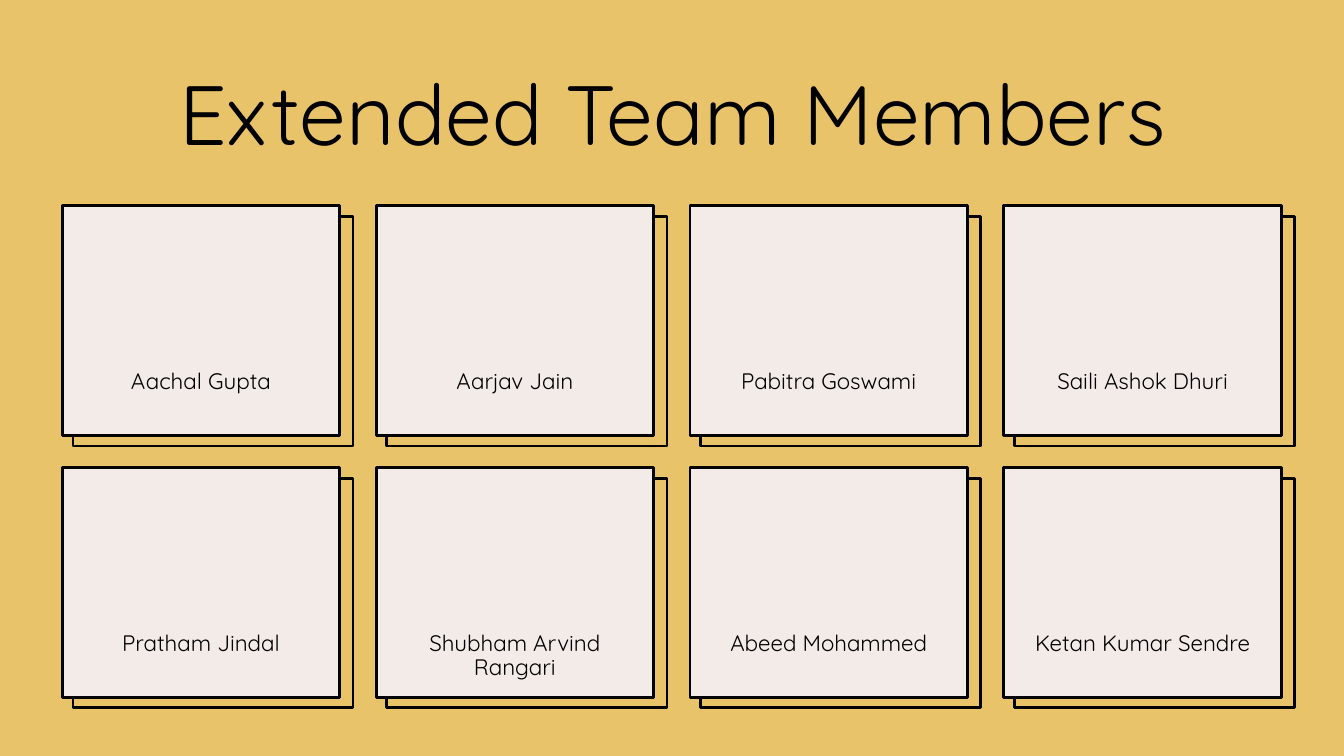
"""Build the slide that lists the extended team members on offset cards."""
from dataclasses import dataclass

from pptx import Presentation
from pptx.dml.color import RGBColor
from pptx.enum.shapes import MSO_SHAPE as Preset
from pptx.enum.text import MSO_ANCHOR as Anchor, PP_ALIGN as Align
from pptx.util import Cm, Pt

TITLE = "Extended Team Members"
MEMBERS = [
    ["Aachal Gupta", "Aarjav Jain", "Pabitra Goswami", "Saili Ashok Dhuri"],
    ["Pratham Jindal", "Shubham Arvind Rangari", "Abeed Mohammed", "Ketan Kumar Sendre"],
]


@dataclass(frozen=True)
class Theme:
    background: RGBColor = RGBColor.from_string("E9C369")
    card: RGBColor = RGBColor.from_string("F3EBE8")
    ink: RGBColor = RGBColor.from_string("000000")
    font: str = "Quicksand"
    title_size: Pt = Pt(60)
    name_size: Pt = Pt(16)
    outline: Pt = Pt(2)


THEME = Theme()
SLIDE_SIZE = (33.87, 19.05)
TITLE_BOX = (3.18, 1.42, 27.53, 2.82)
GRID_LEFT, GRID_TOP = 1.57, 5.18
COLUMN_STEP, ROW_STEP = 7.91, 6.6
CARD_SIZE = (6.99, 5.79)
FRAME_SIZE = (7.06, 5.79)
FRAME_OFFSET = 0.27
NAME_INSETS = (0.25, 4.14, 0.25, 0.13)


def add_rectangle(slide, left, top, size, fill):
    shape = slide.shapes.add_shape(Preset.RECTANGLE, *map(Cm, (left, top, *size)))
    shape.shadow.inherit = False
    shape.fill.solid()
    shape.fill.fore_color.rgb = fill
    shape.line.color.rgb = THEME.ink
    shape.line.width = THEME.outline
    return shape


def write(shape, text, size, anchor):
    frame = shape.text_frame
    frame.word_wrap = True
    frame.vertical_anchor = anchor
    paragraph = frame.paragraphs[0]
    paragraph.text = text
    paragraph.alignment = Align.CENTER
    paragraph.font.name = THEME.font
    paragraph.font.size = size
    paragraph.font.color.rgb = THEME.ink
    return frame


def add_card(slide, left, top, name):
    card = add_rectangle(slide, left, top, CARD_SIZE, THEME.card)
    frame = write(card, name, THEME.name_size, Anchor.TOP)
    (frame.margin_left, frame.margin_top,
     frame.margin_right, frame.margin_bottom) = map(Cm, NAME_INSETS)
    frame.paragraphs[0].line_spacing = 0.9
    frame.paragraphs[0].space_before = Pt(10)


def main():
    presentation = Presentation()
    presentation.slide_width, presentation.slide_height = map(Cm, SLIDE_SIZE)
    slide = presentation.slides.add_slide(presentation.slide_layouts[6])
    slide.background.fill.solid()
    slide.background.fill.fore_color.rgb = THEME.background

    cards = [
        (GRID_LEFT + column * COLUMN_STEP, GRID_TOP + row * ROW_STEP, name)
        for row, names in enumerate(MEMBERS)
        for column, name in enumerate(names)
    ]
    for left, top, _ in cards:
        add_rectangle(slide, left + FRAME_OFFSET, top + FRAME_OFFSET,
                      FRAME_SIZE, THEME.background)
    title = slide.shapes.add_textbox(*map(Cm, TITLE_BOX))
    write(title, TITLE, THEME.title_size, Anchor.MIDDLE)
    for left, top, name in cards:
        add_card(slide, left, top, name)

    presentation.save("out.pptx")


if __name__ == "__main__":
    main()
